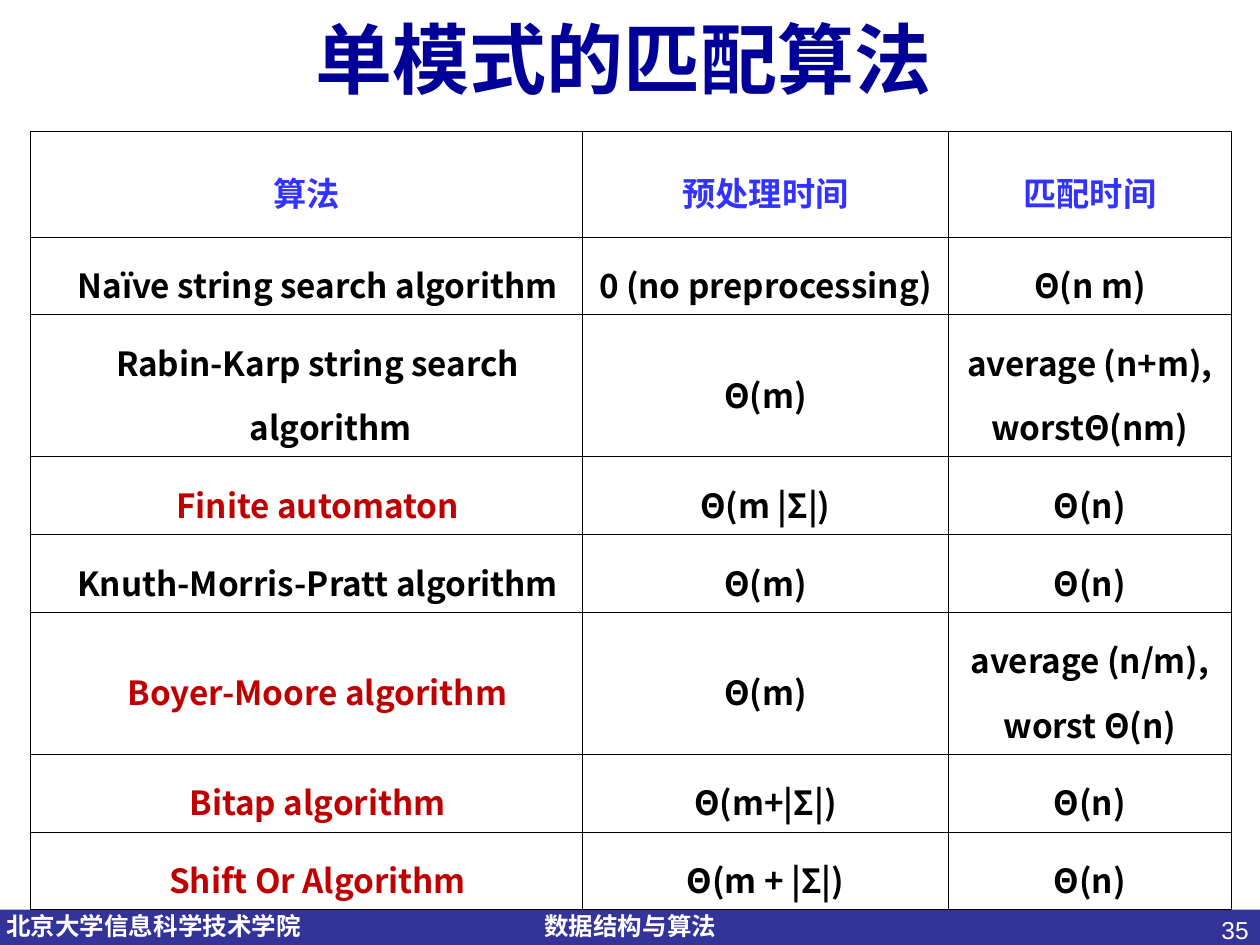
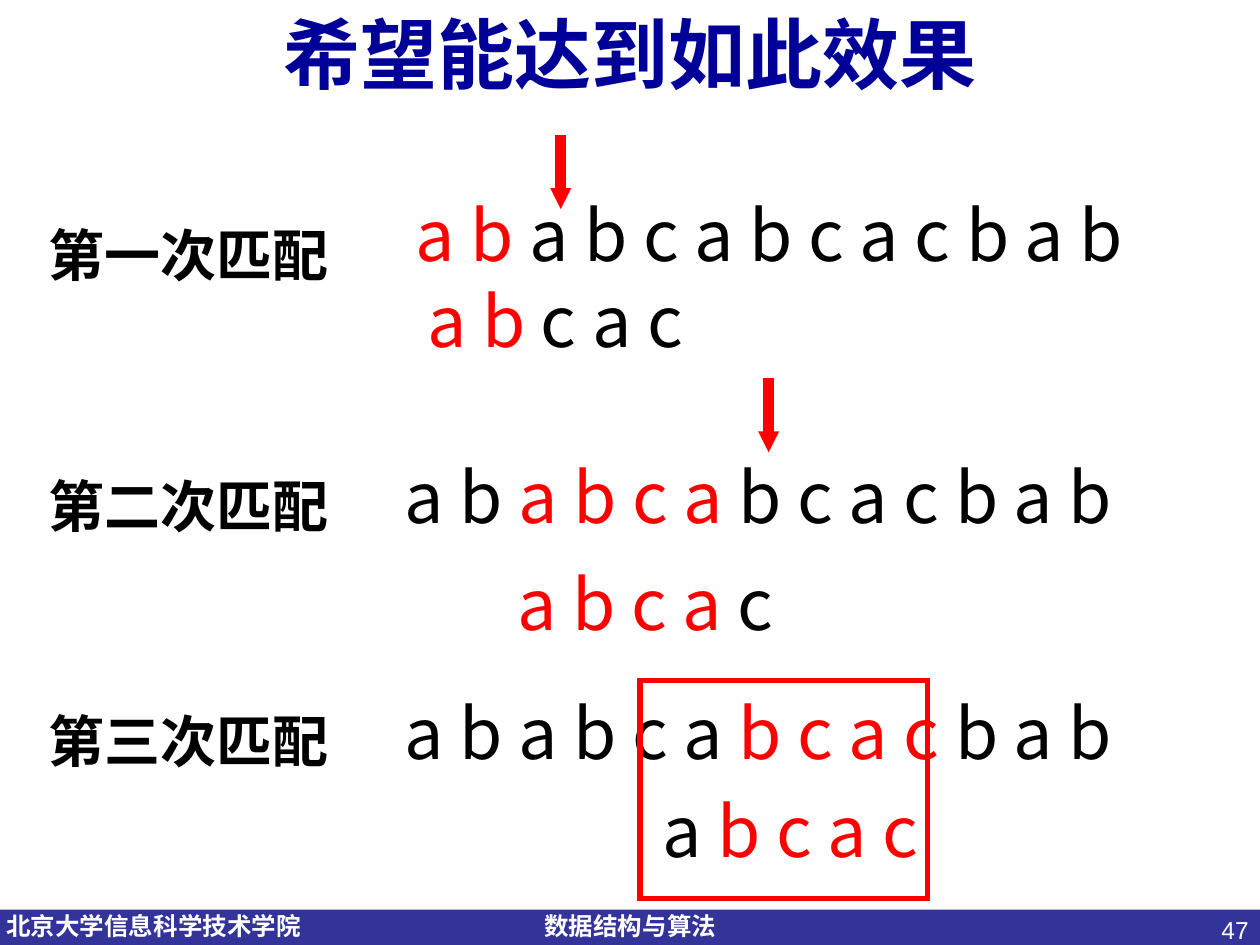
from dataclasses import dataclass

from lxml.etree import SubElement
from pptx import Presentation
from pptx.dml.color import RGBColor
from pptx.enum.shapes import MSO_CONNECTOR as Connector, MSO_SHAPE as Shape
from pptx.enum.text import MSO_ANCHOR as Anchor, MSO_AUTO_SIZE as AutoSize, PP_ALIGN as Align
from pptx.oxml.ns import qn
from pptx.util import Inches, Pt

COLUMNS, ROWS = 100, 75
BLANK_LAYOUT = 6


@dataclass(frozen=True)
class Theme:
    font: str = "Noto Sans CJK SC"
    footer_font: str = "Arial"
    title: str = "000099"
    band: str = "333399"
    heading: str = "3333FF"
    accent: str = "C00000"
    match: str = "FF0000"
    ink: str = "000000"
    paper: str = "FFFFFF"
    title_size: int = 44
    string_size: int = 40
    label_size: int = 32
    table_size: int = 19
    footer_size: int = 14


THEME = Theme()


def write(para, text, color=THEME.ink, size=THEME.table_size, font=THEME.font, bold=False):
    """Append text to a paragraph; a newline becomes a line break."""
    for number, line in enumerate(text.split("\n")):
        if number:
            para.add_line_break()
        span = para.add_run()
        span.text = line
        span.font.name = font
        span.font.size = Pt(size)
        span.font.bold = bold
        span.font.color.rgb = RGBColor.from_string(color)
        SubElement(span.font._element, qn("a:ea"), typeface=font)


def outline_cell(cell, color, width):
    properties = cell._tc.get_or_add_tcPr()
    for side in ("lnL", "lnR", "lnT", "lnB"):
        line = SubElement(properties, qn(f"a:{side}"), w=str(Pt(width)))
        fill = SubElement(line, qn("a:solidFill"))
        SubElement(fill, qn("a:srgbClr"), val=color)


class SlideBuilder:
    """Draws on the current slide; lengths are grid columns and rows."""

    def __init__(self, deck, theme):
        self.deck, self.theme = deck, theme
        self.page = None

    def across(self, columns):
        return int(self.deck.slide_width * columns / COLUMNS)

    def down(self, rows):
        return int(self.deck.slide_height * rows / ROWS)

    def place(self, left, top, width, height):
        return self.across(left), self.down(top), self.across(width), self.down(height)

    def new_page(self, title, number, **title_format):
        theme = self.theme
        self.page = self.deck.slides.add_slide(self.deck.slide_layouts[BLANK_LAYOUT])
        self.rectangle((0, 72.2, 100, 2.8), fill=theme.band)
        footer = dict(color=theme.paper, size=theme.footer_size, font=theme.footer_font)
        for left, width, text in ((0.5, 25, "北京大学信息科学技术学院"),
                                  (43.2, 15.2, "数据结构与算法")):
            self.text((left, 71.8, width, 3.4), text, sides=(0, 1), grow=True,
                      bold=True, **footer)
        self.text((76.8, 72.1, 23.3, 2.9), number, align=Align.RIGHT, **footer)
        self.text((0, 0, 100, 9.1), title, align=Align.CENTER, color=theme.title,
                  size=theme.title_size, bold=True, **title_format)

    def text(self, at, content, align=Align.LEFT, anchor=Anchor.TOP, sides=(1, 1),
             grow=False, **span_format):
        """Content is a string or a list of (string, colour) pairs."""
        frame = self.page.shapes.add_textbox(*self.place(*at)).text_frame
        frame.word_wrap = True
        frame.auto_size = AutoSize.SHAPE_TO_FIT_TEXT if grow else AutoSize.NONE
        frame.vertical_anchor = anchor
        frame.margin_left, frame.margin_right = map(self.across, sides)
        para = frame.paragraphs[0]
        para.alignment = align
        if isinstance(content, str):
            write(para, content, **span_format)
        else:
            for piece, color in content:
                write(para, piece, color=color, **span_format)

    def rectangle(self, at, fill=None, line=None, line_width=3):
        box = self.page.shapes.add_shape(Shape.RECTANGLE, *self.place(*at))
        box.shadow.inherit = False
        if fill:
            box.fill.solid()
            box.fill.fore_color.rgb = RGBColor.from_string(fill)
        else:
            box.fill.background()
        if line:
            box.line.color.rgb = RGBColor.from_string(line)
            box.line.width = Pt(line_width)
            SubElement(box.line._get_or_add_ln(), qn("a:miter"), lim="800000")
        else:
            box.line.fill.background()

    def down_arrow(self, column, top, length):
        x = self.across(column)
        arrow = self.page.shapes.add_connector(
            Connector.STRAIGHT, x, self.down(top), x, self.down(top + length))
        arrow.line.color.rgb = RGBColor.from_string(self.theme.match)
        arrow.line.width = Pt(6)
        line = arrow.line._get_or_add_ln()
        line.set("cap", "sq")
        SubElement(line, qn("a:tailEnd"), type="triangle", w="sm", len="sm")
        SubElement(arrow._element.spPr, qn("a:effectLst"))

    def table(self, at, widths, heights, rows):
        """Each row is (texts, colour of its first cell, colour of the others)."""
        table = self.page.shapes.add_table(len(rows), len(widths), *self.place(*at)).table
        table.first_row = table.horz_banding = False
        for column, width in zip(table.columns, widths):
            column.width = self.across(width)
        for row, height in zip(table.rows, heights):
            row.height = self.down(height)
        for row_index, (texts, first_color, color) in enumerate(rows):
            for column_index, text in enumerate(texts):
                cell = table.cell(row_index, column_index)
                outline_cell(cell, self.theme.ink, 0.45)
                cell.fill.background()
                cell.vertical_anchor = Anchor.MIDDLE
                para = cell.text_frame.paragraphs[0]
                para.alignment = Align.CENTER
                para.line_spacing = 1.35
                if "\n" not in text:
                    names_algorithm = row_index > 0 and column_index == 0
                    properties = para._p.get_or_add_pPr()
                    properties.set("marL", str(self.across(3.9)))
                    properties.set("indent", str(-self.across(2.1 if names_algorithm else 3.9)))
                write(para, text, color=color if column_index else first_color, bold=True)


def add_algorithm_comparison(builder):
    theme = builder.theme
    builder.new_page("单模式的匹配算法", "35", anchor=Anchor.MIDDLE, sides=(2, 3))
    plain, marked = (theme.ink, theme.ink), (theme.accent, theme.ink)
    rows = [
        (("算法", "预处理时间", "匹配时间"), theme.heading, theme.heading),
        (("Naïve string search algorithm", "0 (no preprocessing)", "Θ(n m)"), *plain),
        (("Rabin-Karp string search algorithm", "Θ(m)", "average (n+m),\nworstΘ(nm)"), *plain),
        (("Finite automaton", "Θ(m |Σ|)", "Θ(n)"), *marked),
        (("Knuth-Morris-Pratt algorithm", "Θ(m)", "Θ(n)"), *plain),
        (("Boyer-Moore algorithm", "Θ(m)", "average (n/m),\nworst Θ(n)"), *marked),
        (("Bitap algorithm", "Θ(m+|Σ|)", "Θ(n)"), *marked),
        (("Shift Or Algorithm", "Θ(m + |Σ|)", "Θ(n)"), *marked),
    ]
    single, double = 6.16, 11.3
    heights = [8.4] + [double if "\n" in texts[-1] else single for texts, *_ in rows[1:]]
    builder.table((2.4, 10.4, 95.3, sum(heights)), (43.8, 29.1, 22.4), heights, rows)


def add_matching_rounds(builder):
    theme = builder.theme
    red, black = theme.match, theme.ink
    builder.new_page("希望能达到如此效果", "47")
    string = dict(size=theme.string_size, grow=True)
    rounds = [
        ("第一次匹配", 17, Align.CENTER,
         (28, 14.7, 66.1), [("a b", red), (" a b c a b c a c b a b", black)],
         (29.5, 21.5), [("a b", red), (" c a c", black)]),
        ("第二次匹配", 36.9, Align.LEFT,
         (31.1, 35.5, 68.5), [("a b ", black), ("a b c a ", red), ("b c a c b a b", black)],
         (40.1, 44), [("a b c a ", red), ("c", black)]),
        ("第三次匹配", 55.6, Align.LEFT,
         (31.1, 54.2, 66.2), [("a b a b c a ", black), ("b c a c ", red), ("b a b", black)],
         (51.6, 62), [("a ", black), ("b c a c", red)]),
    ]
    for label, label_top, align, target_at, target, pattern_at, pattern in rounds:
        builder.text((2, label_top, 26, 6.4), label, align=Align.CENTER,
                     size=theme.label_size, bold=True, grow=True)
        builder.text((*target_at, 7.7), target, align=align, **string)
        builder.text((*pattern_at, 29.1, 7.7), pattern, align=align, **string)
    for column, top in ((44.5, 11.1), (61, 30.4)):
        builder.down_arrow(column, top, 5.5)
    builder.rectangle((50.8, 54, 22.8, 17.3), line=red)


def main():
    deck = Presentation()
    deck.slide_width, deck.slide_height = Inches(10), Inches(7.5)
    builder = SlideBuilder(deck, THEME)
    add_algorithm_comparison(builder)
    add_matching_rounds(builder)
    deck.save("out.pptx")


if __name__ == "__main__":
    main()
